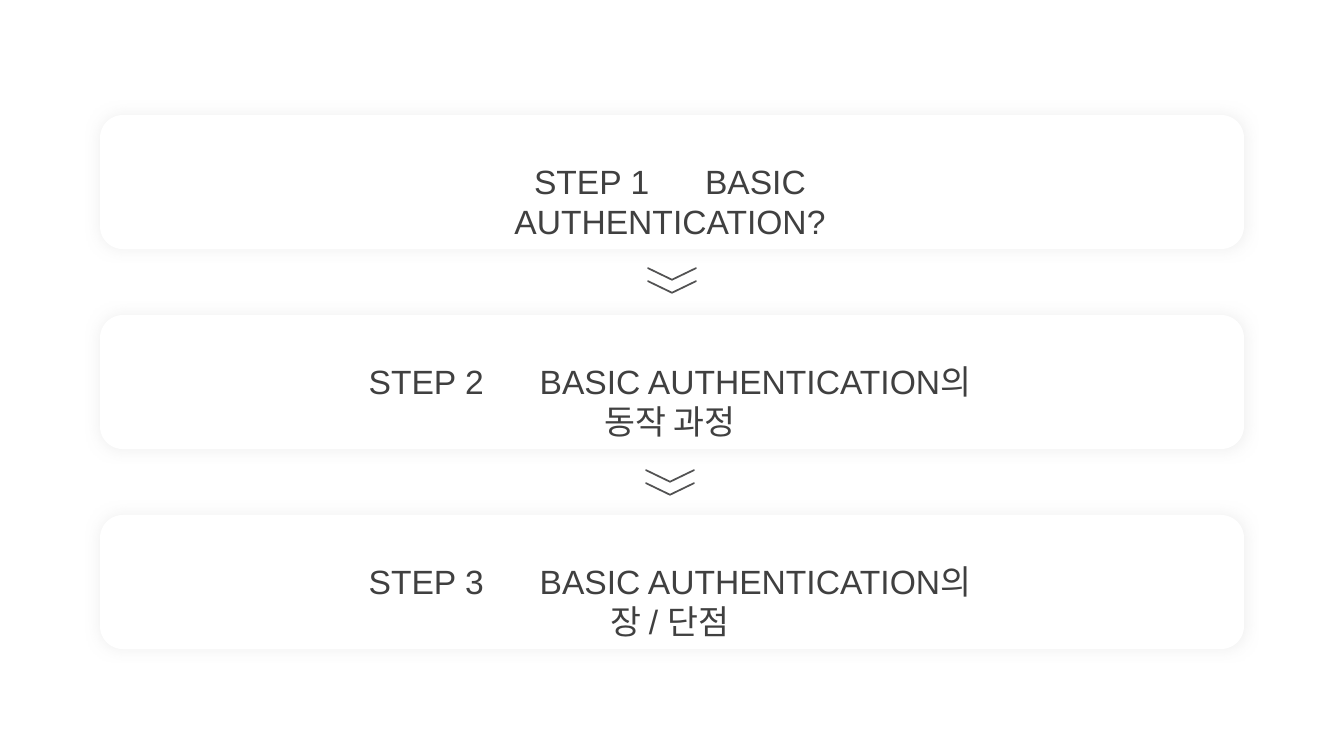
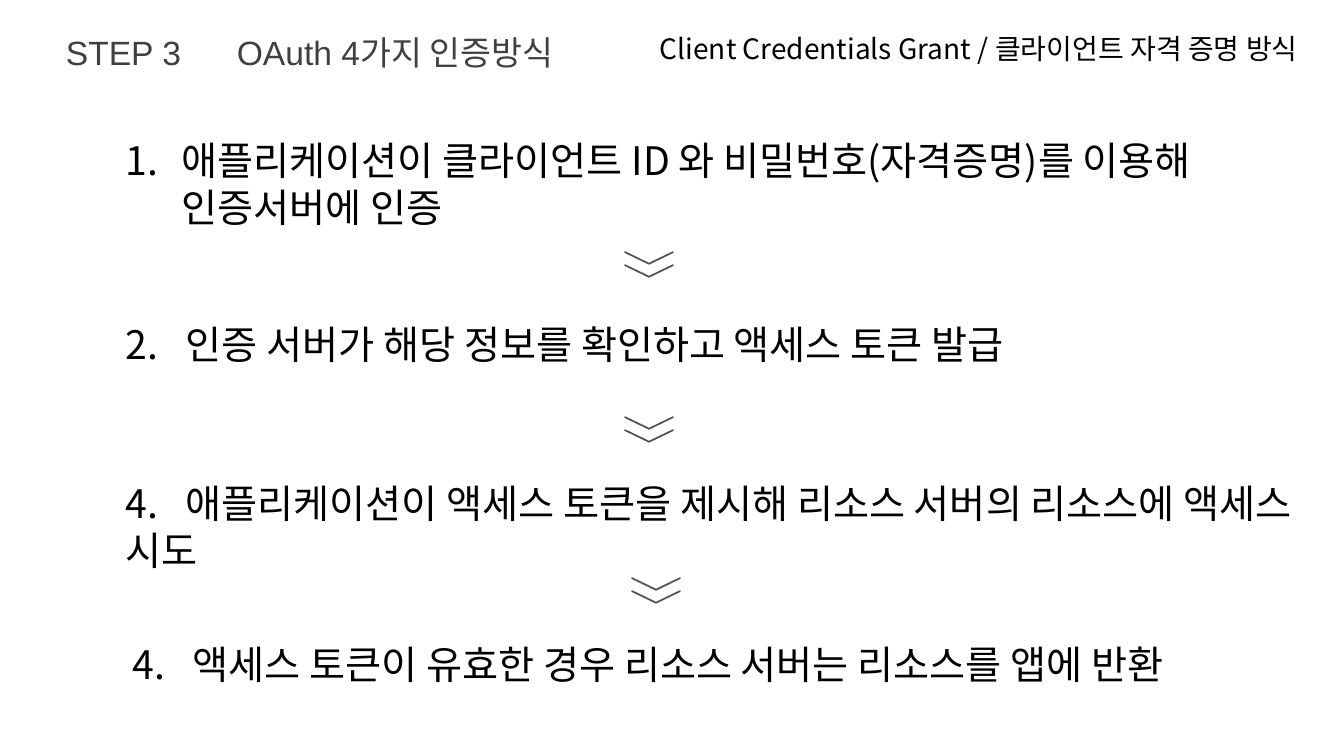
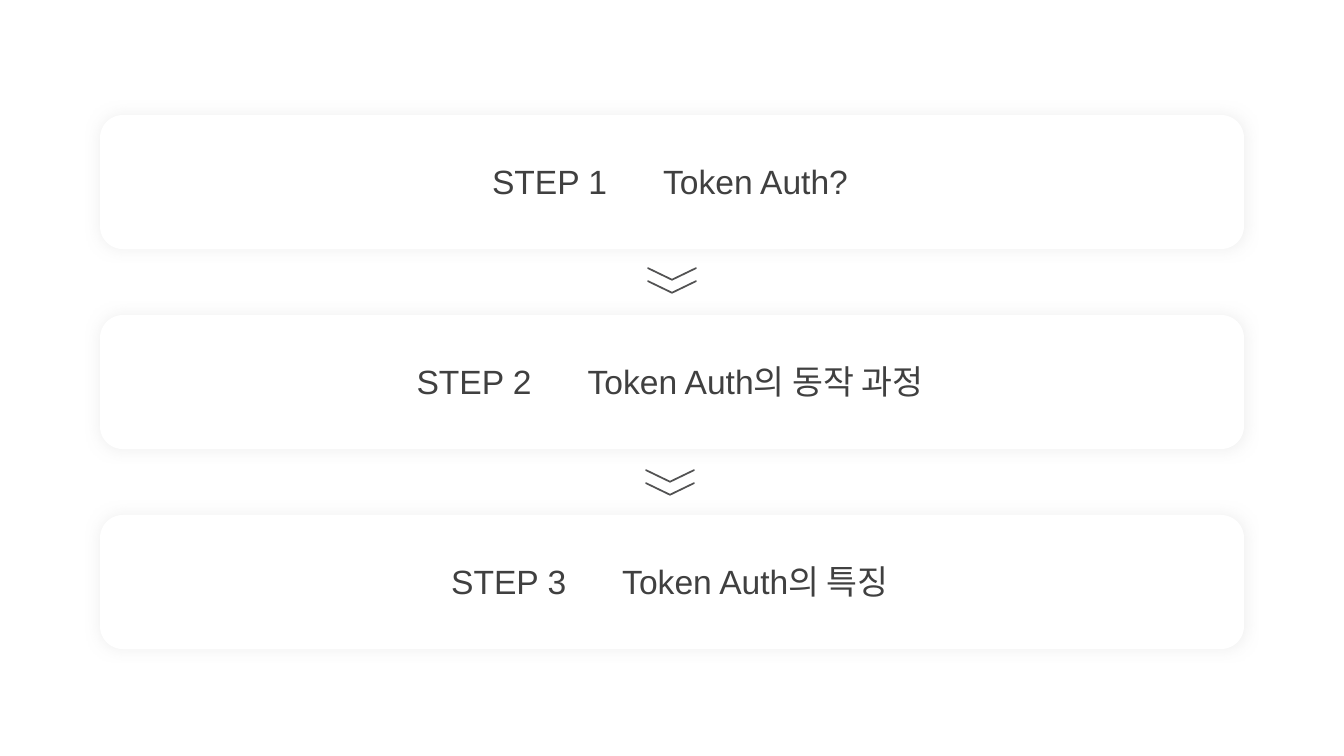
"""Build three slides on authentication steps and the client credentials flow."""
from lxml import etree
from pptx import Presentation
from pptx import util as u
from pptx.dml.color import RGBColor
from pptx.enum import shapes, text
from pptx.oxml import ns

WHITE = RGBColor(0xFF, 0xFF, 0xFF)
BLACK = RGBColor(0, 0, 0)
DARK = RGBColor(0x40, 0x40, 0x40)
ARROW_LINE = RGBColor(0x52, 0x52, 0x52)
ARROW_FILL = RGBColor(0x44, 0x72, 0xC4)
SHADOW = RGBColor(0xD9, 0xD9, 0xD9)

LATIN_FONT, KOREAN_FONT = "Arial", "Noto Sans CJK KR"
TITLE_ONLY, BLANK = 5, 6
STEP_TAB, NUMBER_TAB, NUMBER_INDENT = 171, 60, 56
CARD_LEFT, CARD_TOP, CARD_WIDTH, CARD_HEIGHT, CARD_PITCH = 100, 115, 1144, 134, 200
LABEL_CENTRE, LABEL_DROP, LABEL_HEIGHT = 670, 41, 50
ARROW_WIDTH, ARROW_HEIGHT, ARROW_PITCH = 12, 48, 13


def px(*lengths):
    """Turn pixels into EMU."""
    return [u.Emu(round(length * 914400 / 100.8)) for length in lengths]


def write(box, words, size=28, font=KOREAN_FONT, color=BLACK,
          align=text.PP_ALIGN.LEFT, tab=None, numbered=False):
    """Put one formatted paragraph into a box."""
    frame = box.text_frame
    frame.word_wrap = True
    frame.auto_size = text.MSO_AUTO_SIZE.NONE
    frame.vertical_anchor = text.MSO_ANCHOR.TOP
    para = frame.paragraphs[0]
    para.alignment = align
    span = para.add_run()
    span.text = words
    span.font.size = u.Pt(size)
    span.font.name = font
    span.font.color.rgb = color
    etree.SubElement(span.font._element, ns.qn("a:ea"), typeface=KOREAN_FONT)
    layout = para._p.get_or_add_pPr()
    if numbered:
        indent = px(NUMBER_INDENT)[0]
        layout.set("marL", str(indent))
        layout.set("indent", str(-indent))
        etree.SubElement(layout, ns.qn("a:buFont"), typeface="+mj-lt")
        etree.SubElement(layout, ns.qn("a:buAutoNum"), type="arabicPeriod")
    if tab:
        stops = etree.SubElement(layout, ns.qn("a:tabLst"))
        etree.SubElement(stops, ns.qn("a:tab"), pos=str(px(tab)[0]), algn="l")


deck = Presentation()
deck.slide_width, deck.slide_height = px(1344, 756)
step_style = dict(size=24, font=LATIN_FONT, color=DARK, tab=STEP_TAB,
                  align=text.PP_ALIGN.CENTER)
agendas = {
    "basic": [("BASIC AUTHENTICATION?", 506),
              ("BASIC AUTHENTICATION의 동작 과정", 650),
              ("BASIC AUTHENTICATION의 장 / 단점", 650)],
    "token": [("Token Auth?", 566), ("Token Auth의 동작 과정", 566),
              ("Token Auth의 특징", 566)],
}
flow = [
    ("애플리케이션이 클라이언트 ID 와 비밀번호(자격증명)를 이용해 인증서버에 인증",
     (116, 131, 1200, 105), dict(numbered=True)),
    ("2.\t인증 서버가 해당 정보를 확인하고 액세스 토큰 발급",
     (116, 315, 1228, 57), dict(tab=NUMBER_TAB)),
    ("4.\t애플리케이션이 액세스 토큰을 제시해 리소스 서버의 리소스에 액세스 시도",
     (116, 474, 1228, 105), dict(tab=NUMBER_TAB)),
    ("4.\t액세스 토큰이 유효한 경우 리소스 서버는 리소스를 앱에 반환",
     (123, 635, 1221, 57), dict(tab=NUMBER_TAB)),
]
agenda_arrows = [(666, 250), (664, 452)]
flow_arrows = [(643, 234), (643, 399), (650, 560)]

for name in ("basic", "flow", "token"):
    if name == "flow":
        page = deck.slides.add_slide(deck.slide_layouts[TITLE_ONLY])
        title = page.shapes.title
        title.left, title.top, title.width, title.height = px(41, 27, 537, 50)
        write(title, "STEP 3\tOAuth 4가지 인증방식", **step_style)
        subtitle = page.shapes.add_textbox(*px(650, 27, 690, 44))
        write(subtitle, "Client Credentials Grant / 클라이언트 자격 증명 방식", size=20)
        for words, place, style in flow:
            write(page.shapes.add_textbox(*px(*place)), words, **style)
        arrows = flow_arrows
    else:
        page = deck.slides.add_slide(deck.slide_layouts[BLANK])
        for row, (topic, width) in enumerate(agendas[name]):
            top = CARD_TOP + row * CARD_PITCH
            card = page.shapes.add_shape(
                shapes.MSO_SHAPE.ROUNDED_RECTANGLE,
                *px(CARD_LEFT, top, CARD_WIDTH, CARD_HEIGHT))
            card.adjustments[0] = 0.17
            card.fill.solid()
            card.fill.fore_color.rgb = WHITE
            card.line.fill.background()
            card.shadow.inherit = False
            effects = card._element.spPr.find(ns.qn("a:effectLst"))
            glow = etree.SubElement(effects, ns.qn("a:outerShdw"),
                                    blurRad=str(u.Pt(10)), dist="0",
                                    dir="2700000", algn="ctr", rotWithShape="0")
            tint = etree.SubElement(glow, ns.qn("a:srgbClr"), val=str(SHADOW))
            etree.SubElement(tint, ns.qn("a:alpha"), val="40000")
            label = page.shapes.add_textbox(
                *px(LABEL_CENTRE - width / 2, top + LABEL_DROP, width, LABEL_HEIGHT))
            write(label, f"STEP {row + 1}\t{topic}", **step_style)
        arrows = agenda_arrows

    for left, top in arrows:
        pair = page.shapes.add_group_shape()
        for offset in (0, ARROW_PITCH):
            chevron = pair.shapes.add_shape(
                shapes.MSO_SHAPE.CHEVRON,
                *px(left, top + offset, ARROW_WIDTH, ARROW_HEIGHT))
            chevron.adjustments[0] = 0.97
            chevron.rotation = 90
            chevron.fill.solid()
            chevron.fill.fore_color.rgb = ARROW_FILL
            chevron.line.color.rgb = ARROW_LINE
            chevron.line.width = u.Pt(1)
            chevron.shadow.inherit = False

deck.save("out.pptx")
